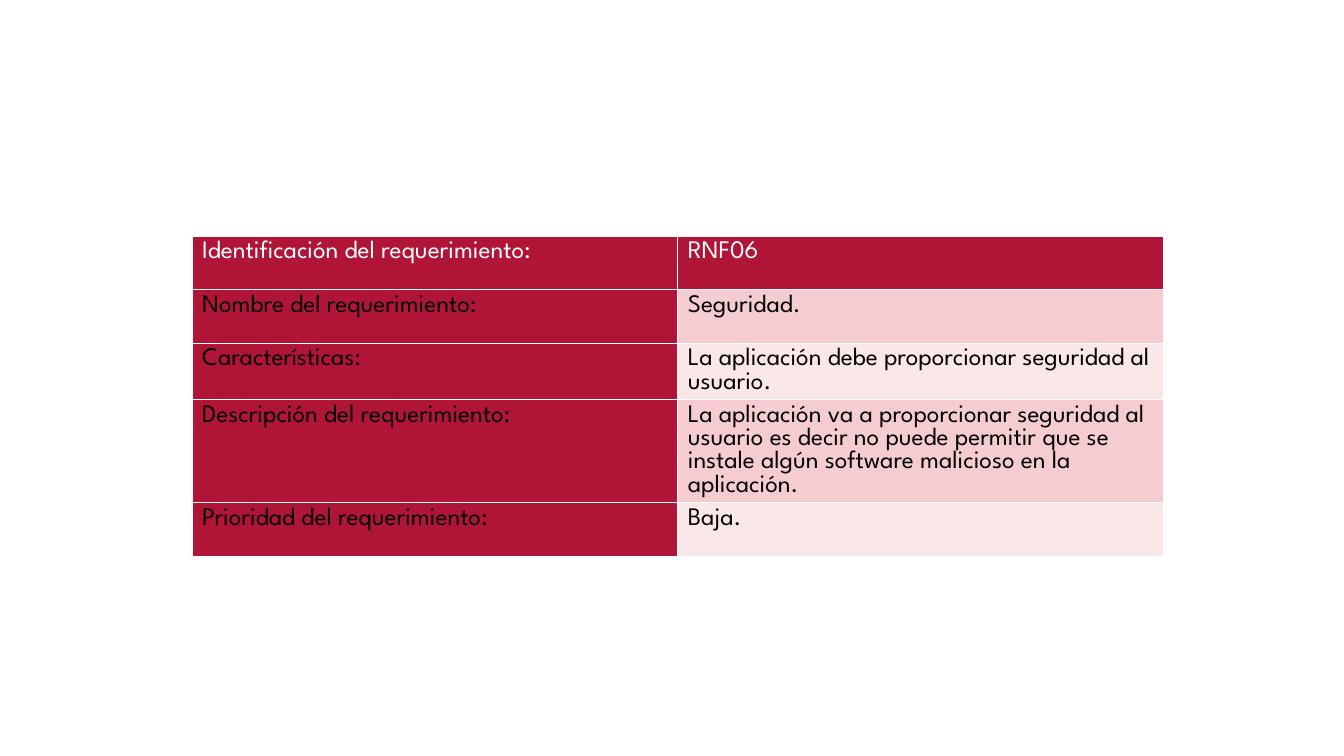
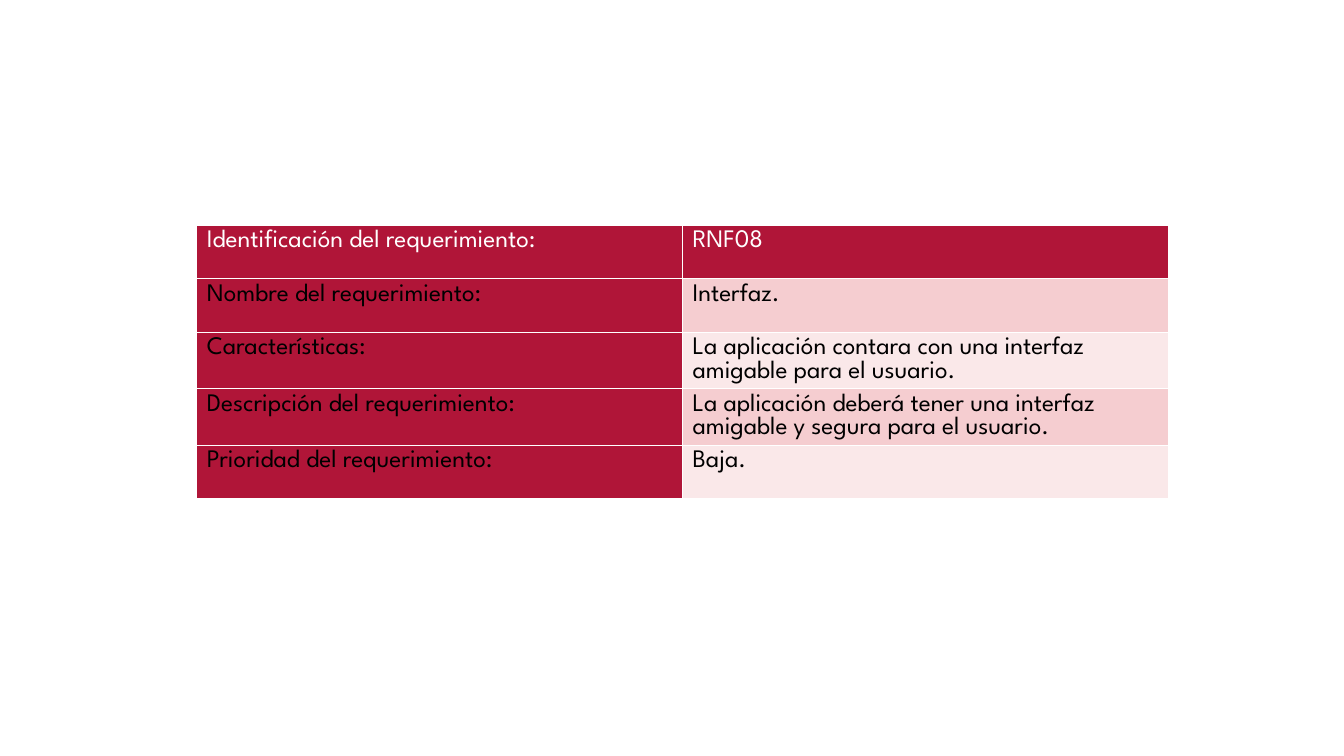
import dataclasses

import pptx
import pptx.dml.color
import pptx.util

Cm = pptx.util.Cm
RGB = pptx.dml.color.RGBColor.from_string


@dataclasses.dataclass(frozen=True)
class Theme:
    font: str = "League Spartan"
    size: int = 18
    accent: str = "B01538"
    bands: tuple = ("F5CDD0", "FAE8E9")
    light: str = "FFFFFF"
    dark: str = "000000"
    col_width: float = 12.24
    row_height: float = 1.35


THEME = Theme()
BLANK_LAYOUT = 6

LABELS = (
    "Identificación del requerimiento:",
    "Nombre del requerimiento:",
    "Características:",
    "Descripción del requerimiento:",
    "Prioridad del requerimiento:",
)

# Left and top in cm, then one value for each label
REQUIREMENTS = (
    (4.84, 5.95, (
        "RNF06",
        "Seguridad.",
        "La aplicación debe proporcionar seguridad al usuario.",
        "La aplicación va a proporcionar seguridad al usuario es decir no "
        "puede permitir que se instale algún software malicioso en la "
        "aplicación.",
        "Baja.",
    )),
    (4.96, 5.67, (
        "RNF08",
        "Interfaz.",
        "La aplicación contara con una interfaz amigable para el usuario.",
        "La aplicación deberá tener una interfaz amigable y segura para el "
        "usuario.",
        "Baja.",
    )),
)


def write_text(tf, text, *, color, size=THEME.size, font=THEME.font, bold=False):
    r = tf.paragraphs[0].add_run()
    r.text = text
    r.font.name = font
    r.font.size = pptx.util.Pt(size)
    r.font.bold = bold
    r.font.color.rgb = RGB(color)


def fill_cell(cell, text, *, fill, color):
    cell.fill.solid()
    cell.fill.fore_color.rgb = RGB(fill)
    write_text(cell.text_frame, text, color=color)


def add_requirement_table(s, left, top, values):
    """Add a label/value table; its white rules come from the table style."""
    rows = len(LABELS)
    table = s.shapes.add_table(
        rows, 2, Cm(left), Cm(top),
        Cm(2 * THEME.col_width), Cm(rows * THEME.row_height),
    ).table
    table.first_col = True
    for i, (label, value) in enumerate(zip(LABELS, values)):
        header = i == 0
        color = THEME.light if header else THEME.dark
        value_fill = THEME.accent if header else THEME.bands[(i - 1) % 2]
        fill_cell(table.cell(i, 0), label, fill=THEME.accent, color=color)
        fill_cell(table.cell(i, 1), value, fill=value_fill, color=color)


def main():
    prs = pptx.Presentation()
    prs.slide_width, prs.slide_height = Cm(33.87), Cm(19.05)
    for left, top, values in REQUIREMENTS:
        s = prs.slides.add_slide(prs.slide_layouts[BLANK_LAYOUT])
        add_requirement_table(s, left, top, values)
    prs.save("out.pptx")


if __name__ == "__main__":
    main()
